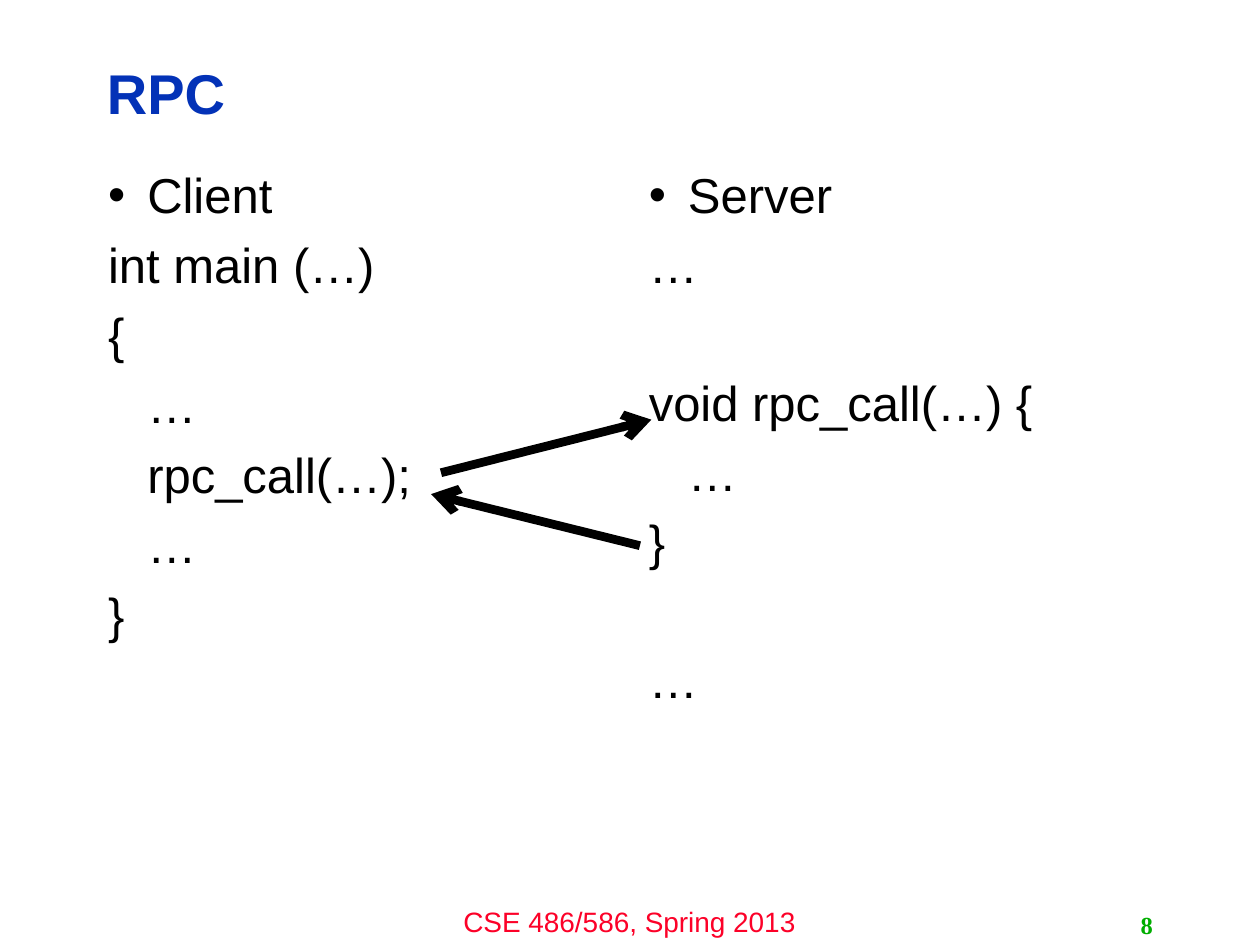
from pptx import Presentation
from pptx import util as u
from pptx.dml import color
from pptx.enum import shapes, text
from pptx.oxml import ns
from lxml import etree

TITLE = "RPC"
BULLET, FLUSH, INDENTED = "bullet", "flush", "indented"
COLUMNS = [
    (1.93, [
        ("Client", BULLET, 0), ("int main (…)", FLUSH, 0), ("{", FLUSH, 0),
        ("…", INDENTED, 0), ("rpc_call(…);", INDENTED, 0),
        ("…", INDENTED, 0), ("}", FLUSH, 0),
    ]),
    (12.83, [
        ("Server", BULLET, 0), ("…", FLUSH, 0),
        ("void rpc_call(…) {", FLUSH, 1), ("…", INDENTED, 0),
        ("}", FLUSH, 0), ("…", FLUSH, 1),
    ]),
]
FOOTERS = [
    ("CSE 486/586, Spring 2013", (8.46, 18.11, 8.46, 0.94),
     text.PP_ALIGN.CENTER, text.MSO_ANCHOR.TOP, ("Arial", 16, "FC0128", False)),
    ("8", (18.21, 18.24, 5.28, 0.81),
     text.PP_ALIGN.RIGHT, text.MSO_ANCHOR.MIDDLE, ("Times New Roman", 14, "00AE00", True)),
]
ARROWS = [(8.89, 9.53, 13.13, 8.46), (12.9, 11, 8.69, 9.96)]
INDENT = 0.79
GAP, LINE = 9.7, 38.7


def style(font, name, size, hex_color, bold=False):
    """Set the face, size, colour and weight of a font."""
    font.name, font.size, font.bold = name, u.Pt(size), bold
    font.color.rgb = color.RGBColor.from_string(hex_color)


def add_box(s, box):
    """Add a wrapping text box and return its text frame."""
    tf = s.shapes.add_textbox(*map(u.Cm, box)).text_frame
    tf.word_wrap = True
    return tf


def set_indent(p, kind):
    """Give a paragraph its margin and, for a bullet, its hanging mark."""
    pPr = p._p.get_or_add_pPr()
    margin = 0 if kind == FLUSH else u.Cm(INDENT)
    pPr.set("marL", str(margin))
    pPr.set("indent", str(-margin if kind == BULLET else 0))
    if kind == BULLET:
        etree.SubElement(pPr, ns.qn("a:buFont"), typeface="Arial")
        etree.SubElement(pPr, ns.qn("a:buChar"), char="•")


def add_column(s, left, lines):
    """Add one column of code lines under its bulleted heading."""
    tf = add_box(s, (left, 3.33, 10.46, 13.69))
    for i, (line, kind, skipped) in enumerate(lines):
        p = tf.add_paragraph() if i else tf.paragraphs[0]
        p.text = line
        set_indent(p, kind)
        p.line_spacing = 0.9
        p.space_before = u.Pt(GAP + skipped * LINE if i else 0)
        style(p.runs[0].font, "Arial", 28, "000000")


def add_arrow(s, ends):
    """Add a thick black line with an open head at its end."""
    c = s.shapes.add_connector(shapes.MSO_CONNECTOR.STRAIGHT, *map(u.Cm, ends))
    c.line.width = u.Pt(5)
    c.line.color.rgb = color.RGBColor.from_string("000000")
    etree.SubElement(c.line._get_or_add_ln(), ns.qn("a:tailEnd"), type="arrow")
    etree.SubElement(c._element.spPr, ns.qn("a:effectLst"))


def main():
    """Build the slide and save it."""
    prs = Presentation()
    prs.slide_width, prs.slide_height = u.Cm(25.4), u.Cm(19.05)
    s = prs.slides.add_slide(prs.slide_layouts[5])

    sp = s.shapes.title
    sp.left, sp.top, sp.width, sp.height = map(u.Cm, (1.9, 0.91, 20.27, 2.06))
    tf = sp.text_frame
    tf.text = TITLE
    tf.auto_size = text.MSO_AUTO_SIZE.NONE
    tf.vertical_anchor = text.MSO_ANCHOR.MIDDLE
    p = tf.paragraphs[0]
    p.alignment, p.line_spacing = text.PP_ALIGN.LEFT, 0.9
    style(p.runs[0].font, "Arial", 32, "0332B7", True)

    for left, lines in COLUMNS:
        add_column(s, left, lines)

    for words, box, align, anchor, look in FOOTERS:
        tf = add_box(s, box)
        tf.text, tf.vertical_anchor = words, anchor
        p = tf.paragraphs[0]
        p.alignment = align
        style(p.runs[0].font, *look)

    for ends in ARROWS:
        add_arrow(s, ends)

    prs.save("out.pptx")


if __name__ == "__main__":
    main()
